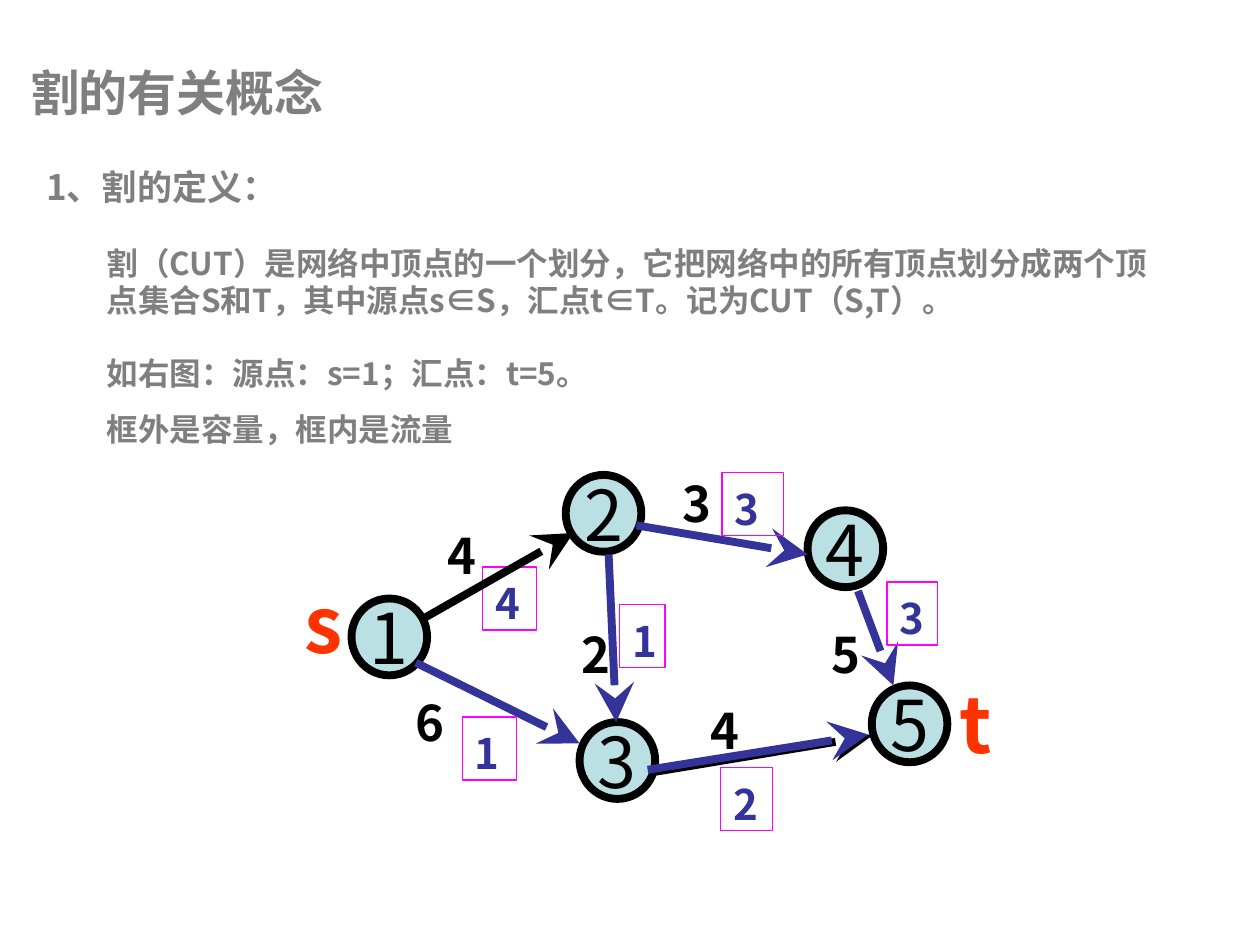
from dataclasses import dataclass

from lxml import etree
from pptx import Presentation
from pptx import util as u
from pptx.dml.color import RGBColor
from pptx.enum import shapes, text
from pptx.oxml.ns import qn


@dataclass(frozen=True)
class Theme:
    gray: str = "7F7F7F"
    black: str = "000000"
    blue: str = "333399"
    red: str = "FF3300"
    magenta: str = "FF00FF"
    node_fill: str = "BBE0E3"
    title_font: str = "Comic Neue"
    font: str = "Noto Sans CJK SC"
    title: float = 28
    heading: float = 20
    body: float = 18
    capacity: float = 28
    flow: float = 24
    node: float = 40
    terminal: float = 44
    stroke: float = 4.5
    frame: float = 0.75
    leading: float = 1.17  # line height, in ems
    drop: float = 0.14  # lowers the first line, in ems


class NetworkSlide:
    def __init__(self, slide, theme):
        self.slide = slide
        self.theme = theme

    def _write(self, shape, content, size, color, font=None, bold=True):
        frame = shape.text_frame
        frame.text = content
        for paragraph in frame.paragraphs:
            for run in paragraph.runs:
                run.font.size = u.Pt(size)
                run.font.bold = bold
                run.font.name = font or self.theme.font
                run.font.color.rgb = RGBColor.from_string(color)
                east_asian = etree.Element(qn("a:ea"), typeface=run.font.name)
                run.font._element.find(qn("a:latin")).addnext(east_asian)
        return frame

    def _lead(self, frame, size):
        """Even line height for wrapped, top-anchored text."""
        frame.word_wrap = True
        frame.vertical_anchor = text.MSO_ANCHOR.TOP
        frame.margin_top = u.Pt(3.6 + self.theme.drop * size)
        for index, paragraph in enumerate(frame.paragraphs):
            paragraph.alignment = text.PP_ALIGN.LEFT
            paragraph.line_spacing = u.Pt(round(self.theme.leading * size, 1))
            if index:
                paragraph.space_before = u.Pt(11.2)

    def _preset(self, kind, box, line, width, fill=None):
        shape = self.slide.shapes.add_shape(kind, *map(u.Pt, box))
        shape.shadow.inherit = False
        shape.line.color.rgb = RGBColor.from_string(line)
        shape.line.width = u.Pt(width)
        if fill:
            shape.fill.solid()
            shape.fill.fore_color.rgb = RGBColor.from_string(fill)
        else:
            shape.fill.background()
        return shape

    def title(self, box, content):
        shape = self.slide.shapes.add_textbox(*map(u.Pt, box))
        frame = self._write(shape, content, self.theme.title, self.theme.gray,
                            self.theme.title_font)
        frame.word_wrap = True

    def label(self, box, content, size, color):
        shape = self.slide.shapes.add_textbox(*map(u.Pt, box))
        self._lead(self._write(shape, content, size, color), size)

    def capacity(self, left, top, value):
        self.label((left, top, 24.5, 41), value, self.theme.capacity, self.theme.black)

    def flow(self, left, top, width, value):
        shape = self._preset(shapes.MSO_SHAPE.RECTANGLE, (left, top, width, 36),
                             self.theme.magenta, self.theme.frame)
        frame = self._write(shape, value, self.theme.flow, self.theme.blue)
        self._lead(frame, self.theme.flow)

    def node(self, left, top, number):
        shape = self._preset(shapes.MSO_SHAPE.OVAL, (left, top, 43.2, 43.9),
                             self.theme.black, self.theme.stroke, self.theme.node_fill)
        frame = self._write(shape, number, self.theme.node, self.theme.black, bold=False)
        frame.word_wrap = False
        frame.vertical_anchor = text.MSO_ANCHOR.MIDDLE
        frame.paragraphs[0].alignment = text.PP_ALIGN.CENTER

    def edge(self, ends, color):
        arrow = self.slide.shapes.add_connector(
            shapes.MSO_CONNECTOR.STRAIGHT, *map(u.Pt, ends))
        arrow.line.color.rgb = RGBColor.from_string(color)
        arrow.line.width = u.Pt(self.theme.stroke)
        etree.SubElement(arrow.line._get_or_add_ln(), qn("a:tailEnd"),
                         type="stealth", w="lg", len="lg")
        etree.SubElement(arrow._element.spPr, qn("a:effectLst"))


def main():
    deck = Presentation()
    deck.slide_width, deck.slide_height = u.Pt(720), u.Pt(540)
    theme = Theme()
    cut = NetworkSlide(deck.slides.add_slide(deck.slide_layouts[6]), theme)

    # Title and definition
    cut.title((10.1, 32.4, 425.5, 41), "割的有关概念")
    cut.label((19.4, 88.6, 204.5, 31.7), "1、割的定义：", theme.heading, theme.gray)
    cut.label((54, 133.9, 612, 50.4),
              "割（CUT）是网络中顶点的一个划分，它把网络中的所有顶点划分成两个"
              "顶点集合S和T，其中源点s∈S，汇点t∈T。记为CUT（S,T）。",
              theme.body, theme.gray)
    cut.label((54, 196.6, 436.3, 61.9),
              "如右图：源点：s=1；汇点：t=5。\n框外是容量，框内是流量",
              theme.body, theme.gray)

    # Labels under the edges
    cut.edge((372.2, 441.4, 498.2, 420.5), theme.black)
    for capacity in ((230.4, 388.8, "6"), (248.4, 293.8, "4"), (383, 264.2, "3"),
                     (398.9, 393.8, "4"), (468, 349.9, "5")):
        cut.capacity(*capacity)
    for flow in ((275.8, 324, 31, "4"), (354.2, 345.6, 25.9, "1"),
                 (411.8, 438.5, 29.5, "2")):
        cut.flow(*flow)

    # Vertices
    for node in ((200.9, 342, "1"), (323.3, 271.4, "2"), (461.5, 291.6, "4"),
                 (331.2, 412.6, "3"), (498.2, 391.7, "5")):
        cut.node(*node)

    # Edges: 1-2 carries its full capacity in black
    cut.edge((241.9, 353.5, 327.6, 304.6), theme.black)
    for ends in ((237.6, 378.7, 331.2, 424.8), (363.6, 300.2, 461.5, 316.8),
                 (490.3, 337.7, 510.5, 391.7), (347.8, 316.8, 352.1, 412.6),
                 (370.1, 439.9, 496.1, 419.8)):
        cut.edge(ends, theme.blue)

    # Labels over the edges
    cut.capacity(325.4, 349.9, "2")
    for flow in ((412.6, 270, 35.3, "3"), (506.9, 332.6, 28.8, "3"),
                 (264.2, 409.7, 31, "1")):
        cut.flow(*flow)

    # Source and sink
    for left, top, name in ((167, 321.1, "s"), (541.4, 378, "t")):
        cut.label((left, top, 33.8, 60.5), name, theme.terminal, theme.red)

    deck.save("out.pptx")


if __name__ == "__main__":
    main()
